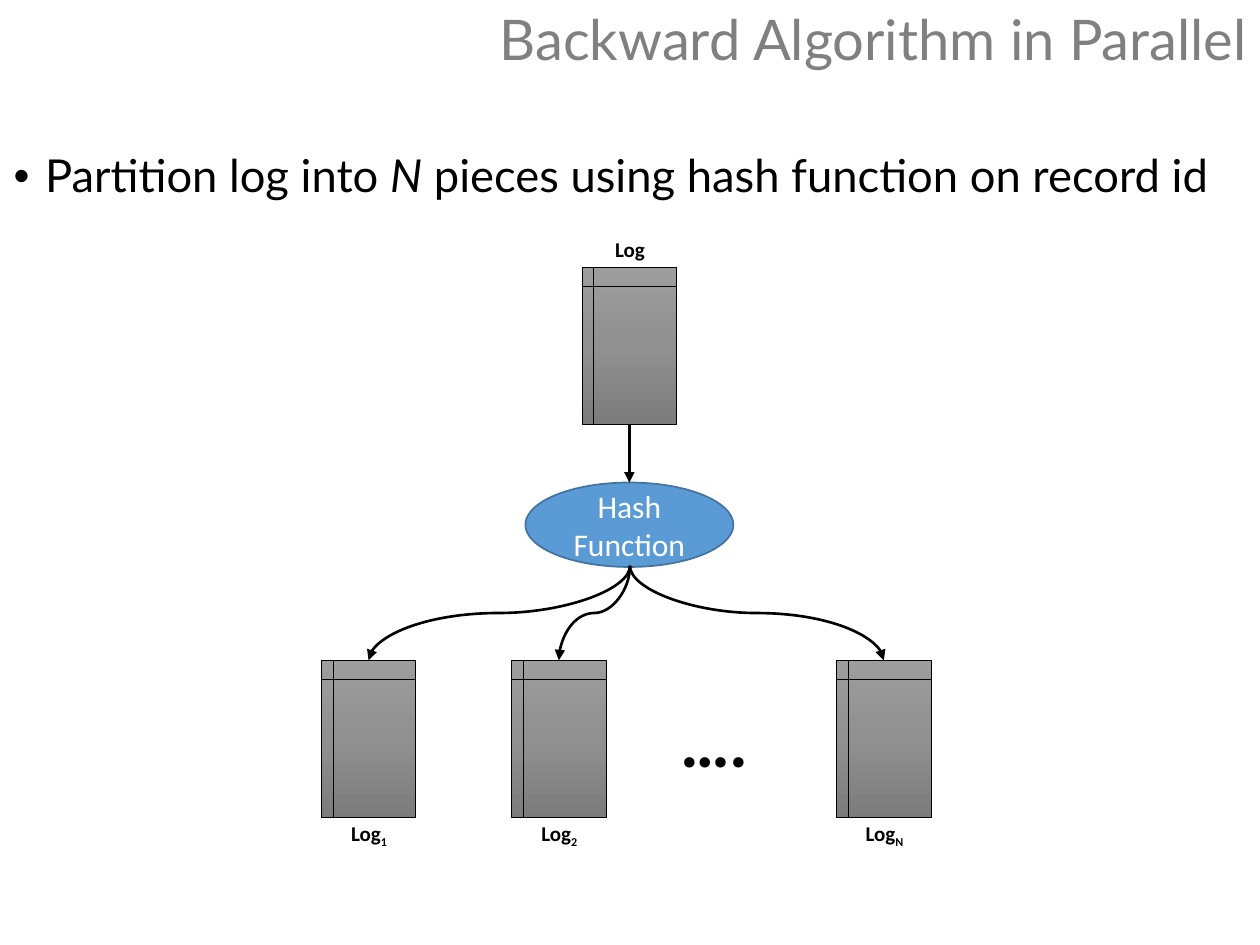
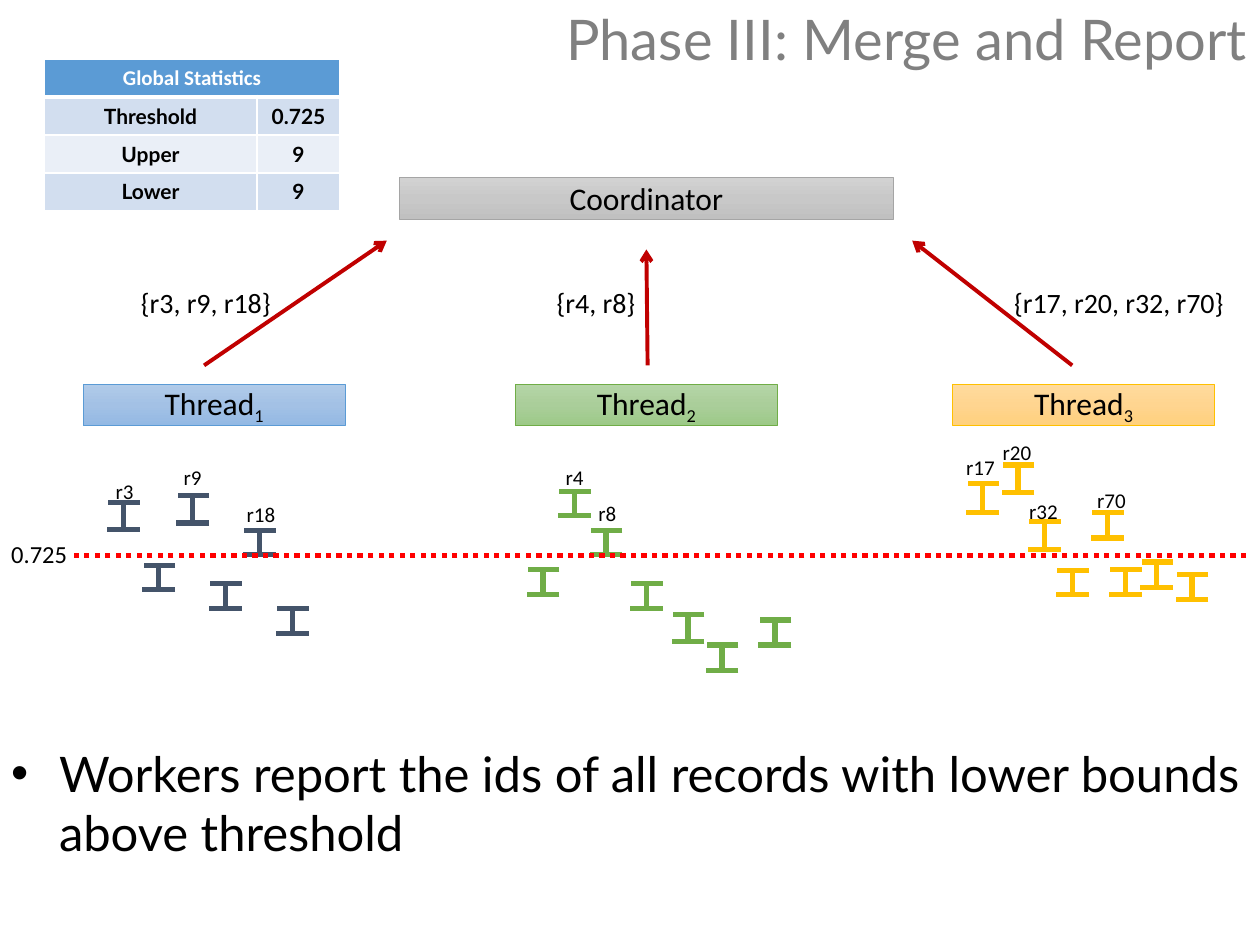
from copy import deepcopy

from lxml import etree
from pptx import Presentation
from pptx.dml.color import RGBColor
from pptx.enum.dml import MSO_LINE
from pptx.enum.shapes import MSO_CONNECTOR, MSO_SHAPE
from pptx.enum.text import MSO_ANCHOR, PP_ALIGN
from pptx.oxml.ns import qn
from pptx.util import Pt

SCALE = 9144  # EMU in one px, 100 px to the inch
LEFT, MID, RIGHT = PP_ALIGN.LEFT, PP_ALIGN.CENTER, PP_ALIGN.RIGHT
CENTER = MSO_ANCHOR.MIDDLE
LINE, CURVE = MSO_CONNECTOR.STRAIGHT, MSO_CONNECTOR.CURVE
RECT, OVAL = MSO_SHAPE.RECTANGLE, MSO_SHAPE.OVAL
STORE = MSO_SHAPE.FLOWCHART_INTERNAL_STORAGE
DOTS = MSO_LINE.ROUND_DOT

BLACK, WHITE, GREY = "000000", "FFFFFF", "808080"
BLUE, NAVY, GREEN, GOLD = "5B9BD5", "44546A", "70AD47", "FFC000"
STEEL = ("9D9D9D", "909090", "7C7C7C")
HEAD = {"name": "Lato", "size": Pt(32), "color": GREY}
BODY = {"name": "Lato", "color": BLACK}
NOTE = {"name": "Calibri", "size": Pt(12), "color": BLACK}
BOLD = {**NOTE, "bold": True}
NAME = {**NOTE, "size": Pt(18)}
SUB = {"base": "-25000"}


def px(n):
    return round(n * SCALE)


def rgb(code):
    return RGBColor.from_string(code)


# Text: each line is a list of (words, changes to the style)
def write(frame, lines, style, align=LEFT, space=None):
    for i, line in enumerate(lines):
        para = frame.paragraphs[0] if i == 0 else frame.add_paragraph()
        para.alignment, para.line_spacing = align, space
        for words, change in line:
            run = para.add_run()
            run.text = words
            for key, val in {**style, **change}.items():
                if key == "color":
                    run.font.color.rgb = rgb(val)
                elif key == "base":
                    run.font._rPr.set("baseline", val)
                else:
                    setattr(run.font, key, val)


def label(slide, box, line, style, align=LEFT, space=None):
    frame = slide.shapes.add_textbox(*map(px, box)).text_frame
    frame.word_wrap = True
    if align == LEFT:
        frame.margin_right = 0
    write(frame, [line], style, align, space)
    return frame


def bullet(slide, box, line, size, indent, space=None):
    frame = label(slide, box, line, {**BODY, "size": Pt(size)}, space=space)
    prop = frame.paragraphs[0]._p.get_or_add_pPr()
    prop.set("marL", str(px(indent)))
    prop.set("indent", str(px(-indent)))
    etree.SubElement(prop, qn("a:buFont")).set("typeface", "Arial")
    etree.SubElement(prop, qn("a:buChar")).set("char", "•")


# Shapes with a flat fill (one hex) or a downward gradient (three)
def block(slide, kind, box, fill, edge, width=0.5):
    shape = slide.shapes.add_shape(kind, *map(px, box))
    shape.shadow.inherit = False
    if isinstance(fill, str):
        shape.fill.solid()
        shape.fill.fore_color.rgb = rgb(fill)
    else:
        shape.fill.gradient()
        shape.fill.gradient_angle = 270
        stops = shape._element.spPr.find(".//" + qn("a:gsLst"))
        stops.insert(1, deepcopy(stops[0]))
        for i, stop in enumerate(shape.fill.gradient_stops):
            stop.color.rgb, stop.position = rgb(fill[i]), i / 2
    shape.line.color.rgb = rgb(edge)
    shape.line.width = Pt(width)
    shape.text_frame.vertical_anchor = CENTER
    return shape


def link(home, ends, color, width, tip=None, dash=None, kind=LINE):
    con = home.shapes.add_connector(kind, *map(px, ends))
    con.line.color.rgb = rgb(color)
    con.line.width = Pt(width)
    if dash:
        con.line.dash_style = dash
    if tip:
        etree.SubElement(con.line._get_or_add_ln(), qn("a:tailEnd")).set("type", tip)
    etree.SubElement(con._element.spPr, qn("a:effectLst"))
    return con


def bend(slide, x1, y1, x2, y2):
    """S-curve that leaves and arrives vertically: a quarter-turned connector."""
    cx, cy = (x1 + x2) / 2, (y1 + y2) / 2
    w, h = (y2 - y1) / 2, (x1 - x2) / 2
    con = link(slide, (cx - w, cy - h, cx + w, cy + h), BLACK, 1.5, "triangle", kind=CURVE)
    con._element.spPr.find(qn("a:xfrm")).set("rot", "5400000")


def start(deck, title):
    slide = deck.slides.add_slide(deck.slide_layouts[5])
    head = slide.shapes.title
    box = {"left": 0, "top": 0, "width": 1000, "height": 68}
    for key, val in box.items():
        setattr(head, key, px(val))
    head.text_frame.vertical_anchor = CENTER
    write(head.text_frame, [[(title, {})]], HEAD, RIGHT, 0.9)
    return slide


# A log file with its caption above or below
def log(slide, x, y, sub=""):
    shape = block(slide, STORE, (x, y, 75, 125), STEEL, BLACK)
    line = [("Log", {})]
    if sub:
        line.append((sub, SUB))
    label(slide, (x - 20, y + (122 if sub else -29), 116, 30), line, BOLD, MID)
    return shape


def split(deck):
    slide = start(deck, "Backward Algorithm in Parallel")
    line = [("Partition log into ", {}), ("N", {"italic": True}),
            (" pieces using hash function on record id", {})]
    bullet(slide, (1, 117, 999, 58), line, 25.9, 25, 0.9)

    # Whole log and hash function
    whole = log(slide, 462, 212)
    mixer = block(slide, OVAL, (417, 383, 165, 67), BLUE, "43739E", 1)
    write(mixer.text_frame, [[("Hash", {})], [("Function", {})]],
          {**NAME, "color": WHITE}, MID)
    flow = link(slide, (500, 337, 500, 383), BLACK, 1.5, "triangle")
    flow.begin_connect(whole, 2)
    flow.end_connect(mixer, 0)

    # Pieces of the log
    for x, sub in (255, "1"), (406, "2"), (664, "N"):
        log(slide, x, 524, sub)
        bend(slide, 500, 449, x + 37.5, 524)
    label(slide, (509, 549, 116, 77), [("….", {})], {**BOLD, "size": Pt(40)}, MID)


# Statistics table
def stats(slide, x, y):
    rows = [("Global Statistics", ""), ("Threshold", "0.725"),
            ("Upper", "9"), ("Lower", "9")]
    fills = (BLUE, "D2DEEF", "EAEFF7", "D2DEEF")
    table = slide.shapes.add_table(4, 2, px(x), px(y), px(235), px(120)).table
    for col, wide in zip(table.columns, (169, 66)):
        col.width = px(wide)
    table.cell(0, 0).merge(table.cell(0, 1))
    for r, row in enumerate(rows):
        for c, words in enumerate(row):
            cell = table.cell(r, c)
            edges(cell, 3 if r == 0 else 1, 3 if r == 1 else 1)
            cell.fill.solid()
            cell.fill.fore_color.rgb = rgb(fills[r])
            if words:
                look = {"name": "Lato"} if r else {"color": WHITE}
                write(cell.text_frame, [[(words, look)]], BOLD, MID)


def edges(cell, low, top):
    prop = cell._tc.get_or_add_tcPr()
    for side, width in ("L", 1), ("R", 1), ("T", top), ("B", low):
        edge = etree.SubElement(prop, qn("a:ln" + side))
        edge.set("w", str(Pt(width)))
        fill = etree.SubElement(edge, qn("a:solidFill"))
        etree.SubElement(fill, qn("a:srgbClr")).set("val", WHITE)


# Score ranges: stem x, upper bound, lower bound
def marks(slide, color, spans):
    group = slide.shapes.add_group_shape()
    for x, top, low in spans:
        for ends in ((x, low, x, top), (x + 13, top, x - 12, top),
                     (x + 13, low, x - 13, low)):
            link(group, ends, color, 3)


# A worker: its box, report arrow, ids and ranges
def worker(slide, x, job):
    shape = block(slide, RECT, (x, 305, 208, 33), job["fill"], job["edge"])
    write(shape.text_frame, [[("Thread", {}), (job["num"], SUB)]], NAME, MID)
    link(slide, job["arrow"], "C00000", 2.25, "arrow")
    left, wide, ids = job["sent"]
    label(slide, (left, 222, wide, 37), [(ids, {})], {**NOTE, "size": Pt(16)})
    marks(slide, job["mark"], job["spans"])
    for left, top, rec in job["tags"]:
        label(slide, (left, top, 50, 30), [(rec, {})], NOTE)


JOBS = {
    66: {"num": "1", "fill": ("B1CBE9", "A3C1E5", "93B9E4"), "edge": BLUE,
         "mark": NAVY, "arrow": (162, 290, 307, 191),
         "sent": (102, 127, "{r3, r9, r18}"),
         "spans": [(98, 399, 420), (153, 393, 415), (179, 463, 483),
                   (206, 421, 440), (232, 483, 503), (126, 449, 468)],
         "tags": [(82, 375, "r3"), (136, 364, "r9"), (186, 393, "r18")]},
    409: {"num": "2", "fill": ("B5D5A7", "AACE9A", "9CC987"), "edge": GREEN,
          "mark": GREEN, "arrow": (514, 290, 513, 198),
          "sent": (432, 127, "{r4, r8}"),
          "spans": [(456, 390, 409), (481, 421, 440), (513, 463, 483),
                    (431, 452, 472), (546, 488, 509), (573, 512, 532),
                    (615, 492, 512)],
          "tags": [(439, 364, "r4"), (465, 392, "r8")]},
    756: {"num": "3", "fill": ("FFDB9E", "FFD590", "FFD07C"), "edge": GOLD,
          "mark": GOLD, "arrow": (851, 290, 724, 191),
          "sent": (795, 194, "{r17, r20, r32, r70}"),
          "spans": [(780, 384, 407), (808, 369, 391), (829, 414, 436),
                    (851, 453, 472), (879, 407, 427), (893, 452, 472),
                    (918, 446, 466), (946, 456, 476)],
          "tags": [(757, 356, "r17"), (786, 344, "r20"),
                   (807, 391, "r32"), (861, 382, "r70")]},
}


def merge(deck):
    slide = start(deck, "Phase III: Merge and Report")
    chief = block(slide, RECT, (317, 141, 392, 33), ("D2D2D2", "C8C8C8", "C0C0C0"), "A5A5A5")
    write(chief.text_frame, [[("Coordinator", {})]], NAME, MID)
    for x, job in JOBS.items():
        worker(slide, x, job)

    # Threshold
    link(slide, (989, 441, 56, 441), "FF0000", 3, dash=DOTS)
    label(slide, (-1, 423, 65, 34), [("0.725", {})], {**NOTE, "size": Pt(14)})

    line = [("Workers report the ids of all records with lower bounds above threshold", {})]
    bullet(slide, (-1, 585, 1001, 165), line, 28, 38)
    stats(slide, 35, 47)


def main():
    deck = Presentation()
    deck.slide_width, deck.slide_height = px(1000), px(750)
    split(deck)
    merge(deck)
    deck.save("out.pptx")


if __name__ == "__main__":
    main()
